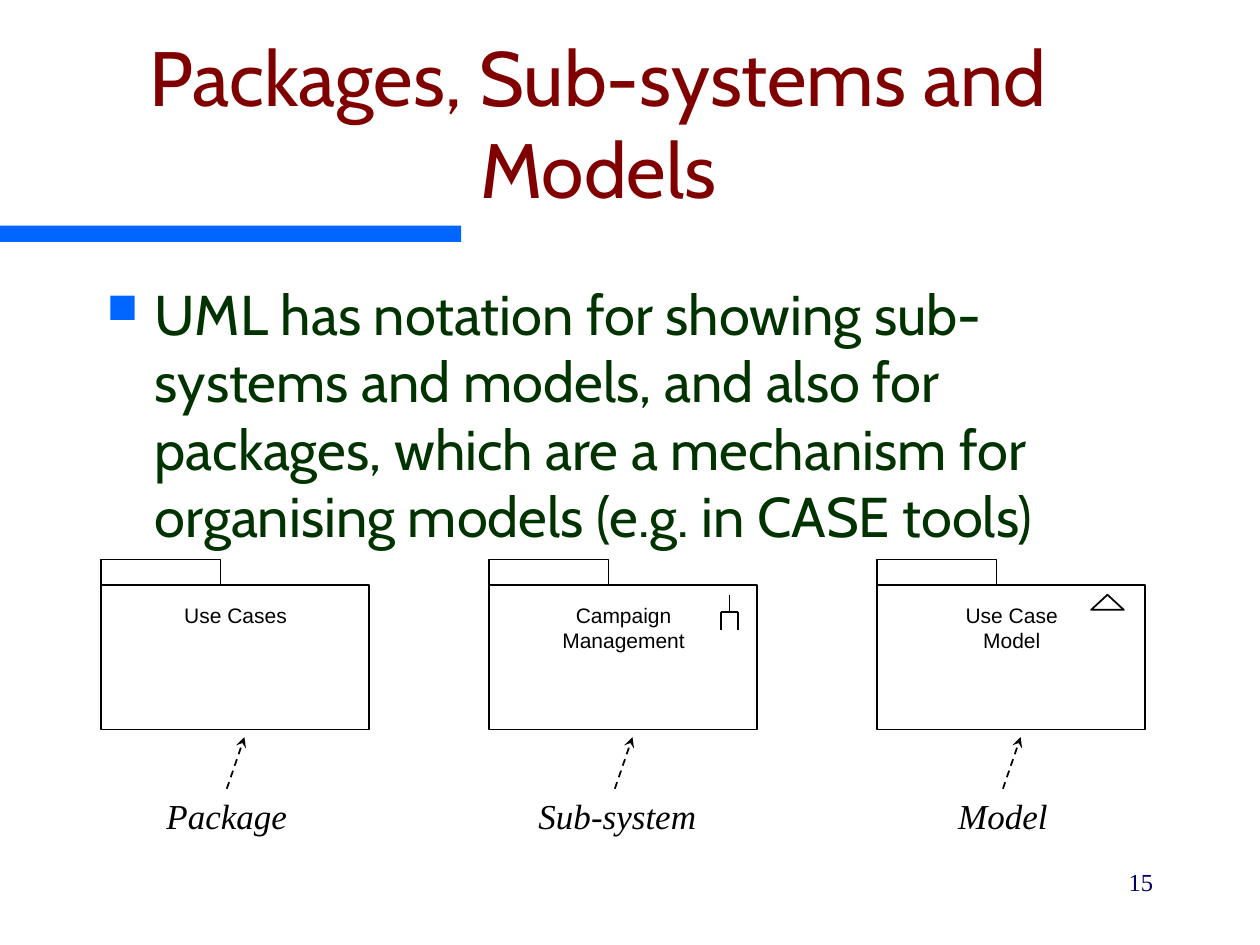
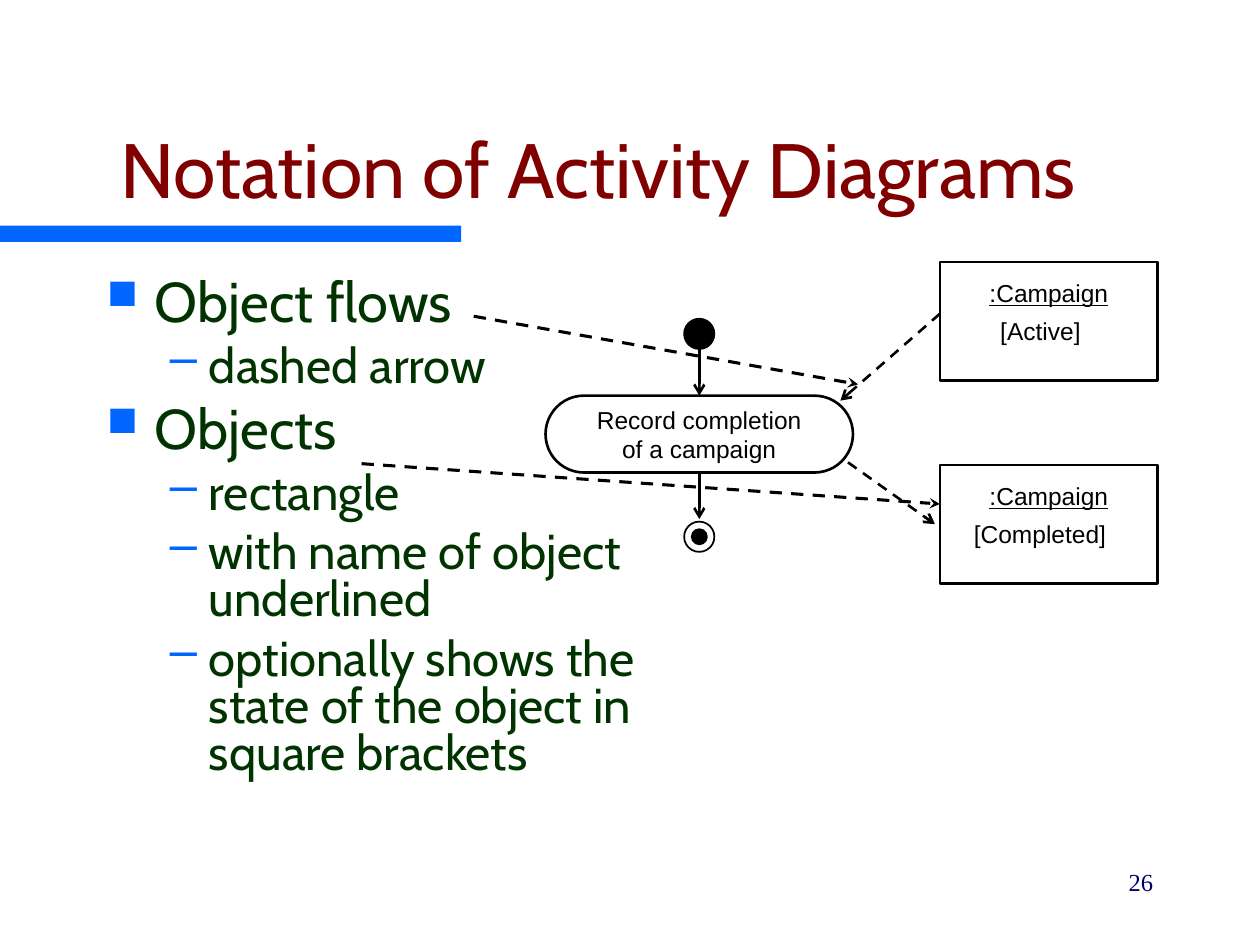
from dataclasses import dataclass
from lxml import etree
from pptx import Presentation
from pptx import util as u
from pptx.dml.color import RGBColor as Color
from pptx.enum import dml, shapes, text
from pptx.oxml.ns import qn

KIND = shapes.MSO_SHAPE
ALIGN = text.PP_ALIGN
ANCHOR = text.MSO_ANCHOR


@dataclass(frozen=True)
class Theme:
    band: str = "0066FF"
    head: str = "800000"
    body: str = "003300"
    page: str = "000066"
    ink: str = "000000"
    paper: str = "FFFFFF"
    main: str = "Cabin"
    sans: str = "Arial"
    serif: str = "Times New Roman"
    title: int = 44
    levels: tuple = (32, 28)
    label: int = 20
    note: int = 14
    small: int = 12


class Deck:
    def __init__(self, theme):
        self.theme = theme
        self.file = Presentation()
        self.file.slide_width = u.Inches(10)
        self.file.slide_height = u.Inches(7.5)
        self.slide = None

    def page(self, title, number):
        t = self.theme
        self.slide = self.file.slides.add_slide(self.file.slide_layouts[6])
        self.shape(KIND.RECTANGLE, 0, 1.79, 3.66, 0.13, t.band, edge=None)
        self.text(title, 0.25, 0.5, 9, 1.25, t.title, t.main, t.head,
                  anchor=ANCHOR.BOTTOM)
        self.text(str(number), 7.17, 6.83, 2.08, 0.5, t.note, t.serif, t.page,
                  align=ALIGN.RIGHT)

    def shape(self, kind, x, y, w, h, fill=None, edge=1):
        item = self.slide.shapes.add_shape(kind, *map(u.Inches, (x, y, w, h)))
        item.shadow.inherit = False
        item.fill.solid()
        item.fill.fore_color.rgb = Color.from_string(fill or self.theme.paper)
        if edge:
            item.line.color.rgb = Color.from_string(self.theme.ink)
            item.line.width = u.Pt(edge)
        else:
            item.line.fill.background()
        return item

    def label(self, item, words, size, face=None, color=None, align=ALIGN.CENTER,
              anchor=ANCHOR.TOP, wrap=True, italic=None, under=None):
        frame = item.text_frame
        frame.text = words
        frame.word_wrap = wrap
        frame.vertical_anchor = anchor
        for para in frame.paragraphs:
            para.alignment = align
            self.style(para, size, face or self.theme.sans,
                       color or self.theme.ink, italic, under)

    def style(self, para, size, face, color, italic=None, under=None):
        for run in para.runs:
            font = run.font
            font.size = u.Pt(size)
            font.name = face
            font.color.rgb = Color.from_string(color)
            font.italic = italic
            font.underline = under

    def box(self, x, y, w, h):
        return self.slide.shapes.add_textbox(*map(u.Inches, (x, y, w, h)))

    def text(self, words, x, y, w, h, *args, **opts):
        self.label(self.box(x, y, w, h), words, *args, **opts)

    def bullets(self, items, width, spacing=None):
        t = self.theme
        frame = self.box(0.75, 2.17, width, 4.5).text_frame
        frame.word_wrap = True
        for i, (level, words) in enumerate(items):
            para = frame.add_paragraph() if i else frame.paragraphs[0]
            para.text = words
            para.level = level
            para.line_spacing = spacing
            if i:
                para.space_before = u.Pt((8, 7)[level])
            self.mark(para, level)
            self.style(para, t.levels[level], t.main, t.body)

    def mark(self, para, level):
        left, hang, sign, scale = ((0.38, 0.38, "■", 75), (0.81, 0.31, "–", 100))[level]
        props = para._p.get_or_add_pPr()
        props.set("marL", str(u.Inches(left)))
        props.set("indent", str(-u.Inches(hang)))
        tint = etree.SubElement(props, qn("a:buClr"))
        etree.SubElement(tint, qn("a:srgbClr"), val=self.theme.band)
        etree.SubElement(props, qn("a:buSzPct"), val=str(scale * 1000))
        etree.SubElement(props, qn("a:buChar"), char=sign)

    def line(self, start, end, width=1, dash=False, tip=None):
        link = self.slide.shapes.add_connector(
            shapes.MSO_CONNECTOR.STRAIGHT, *map(u.Inches, start + end))
        link.line.color.rgb = Color.from_string(self.theme.ink)
        link.line.width = u.Pt(width)
        if dash:
            link.line.dash_style = dml.MSO_LINE.DASH
        props = link.element.spPr
        if tip:
            etree.SubElement(props.find(qn("a:ln")), qn("a:tailEnd"), type=tip)
        etree.SubElement(props, qn("a:effectLst"))
        return link

    def folder(self, x, name, label, mid):
        t = self.theme
        self.shape(KIND.RECTANGLE, x, 4.44, 0.95, 0.28)
        self.shape(KIND.RECTANGLE, x, 4.64, 2.13, 1.15)
        self.text(name, x - 0.4, 4.73, 2.94, 0.5, t.small)
        self.text(label, mid - 0.84, 6.26, 1.68, 0.44, t.label, t.serif, italic=True)
        self.line((x + 1, 6.26), (x + 1.14, 5.85), dash=True, tip="stealth")

    def fork(self, x, y):
        arm, drop = 0.07, 0.14
        low = y + drop
        self.line((x, y), (x, low))
        self.line((x - arm, low), (x + arm, low))
        for side in (x - arm, x + arm):
            self.line((side, low), (side, low + drop))

    def entity(self, y, state, x, width):
        t = self.theme
        item = self.shape(KIND.RECTANGLE, 7.46, y, 1.73, 0.94, edge=1.5)
        self.label(item, ":Campaign", t.note, wrap=False, under=True)
        item.text_frame.margin_top = u.Inches(0.13)
        self.text(state, x, y + 0.38, width, 0.34, t.note,
                  align=ALIGN.LEFT, wrap=False)

    def dot(self, x, y, size, fill=None):
        self.shape(KIND.OVAL, x - size / 2, y - size / 2, size, size, fill)


def packages(deck):
    deck.page("Packages, Sub-systems and Models", 15)
    deck.bullets([(0, "UML has notation for showing sub-systems and models, and also for "
                      "packages, which are a mechanism for organising models "
                      "(e.g. in CASE tools)")], 8.5)
    folders = (("Use Cases", "Package", 1.8),
               ("Campaign\nManagement", "Sub-system", 4.9),
               ("Use Case\nModel", "Model", 7.96))
    for i, (name, label, mid) in enumerate(folders):
        deck.folder(0.8 + 3.08 * i, name, label, mid)
    deck.fork(5.79, 4.72)
    deck.shape(KIND.ISOSCELES_TRIANGLE, 8.66, 4.72, 0.26, 0.12)


def activity(deck):
    ink = deck.theme.ink
    deck.page("Notation of Activity Diagrams", 26)
    deck.bullets([(0, "Object flows"),
                  (1, "dashed arrow"),
                  (0, "Objects"),
                  (1, "rectangle"),
                  (1, "with name of object underlined"),
                  (1, "optionally shows the state of the object in square brackets")],
                 4.71, 0.8)
    mid = 5.55
    action = deck.shape(KIND.ROUNDED_RECTANGLE, 4.33, 3.14, 2.44, 0.61, edge=1.5)
    action.adjustments[0] = 0.5
    deck.label(action, "Record completion\nof a campaign", deck.theme.note,
               anchor=ANCHOR.MIDDLE, wrap=False)
    deck.dot(mid, 2.65, 0.24, ink)
    deck.dot(mid, 4.26, 0.24)
    deck.dot(mid, 4.26, 0.12, ink)
    enter = deck.line((mid, 2.77), (mid, 3.14), 1.5, tip="arrow")
    enter.end_connect(action, 0)
    leave = deck.line((mid, 3.75), (mid, 4.12), 1.5, tip="arrow")
    leave.begin_connect(action, 2)
    deck.entity(2.08, "[Active]", 7.84, 0.84)
    deck.entity(3.69, "[Completed]", 7.63, 1.25)
    flows = (((7.46, 2.49), (6.67, 3.18), 1.5, "arrow"),
             ((6.73, 3.67), (7.42, 4.16), 1.5, "arrow"),
             ((3.76, 2.51), (6.81, 3.05), 1.75, "stealth"),
             ((2.87, 3.68), (7.46, 4), 1.75, "stealth"))
    for start, end, width, tip in flows:
        deck.line(start, end, width, True, tip)


def main():
    deck = Deck(Theme())
    packages(deck)
    activity(deck)
    deck.file.save("out.pptx")


if __name__ == "__main__":
    main()
